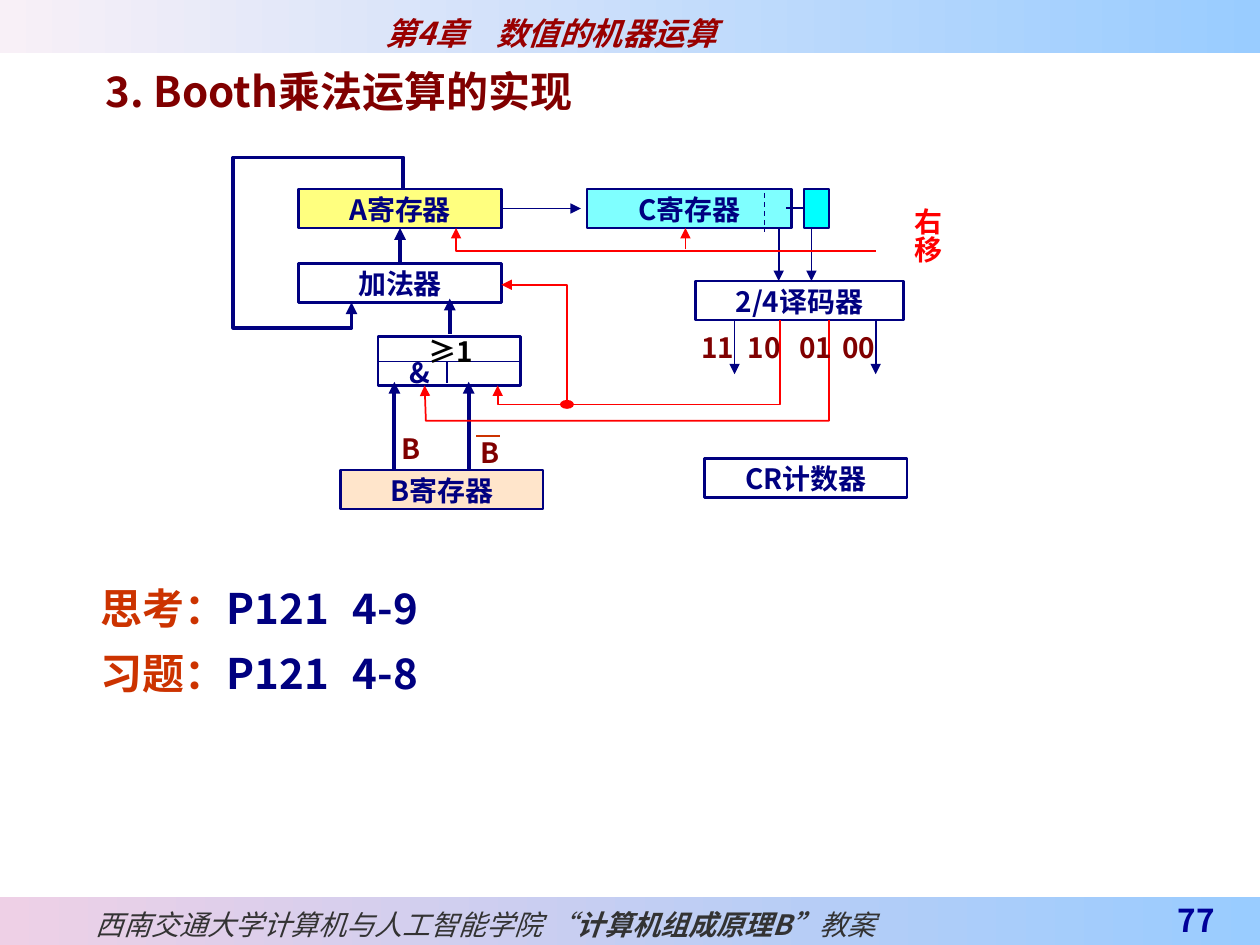
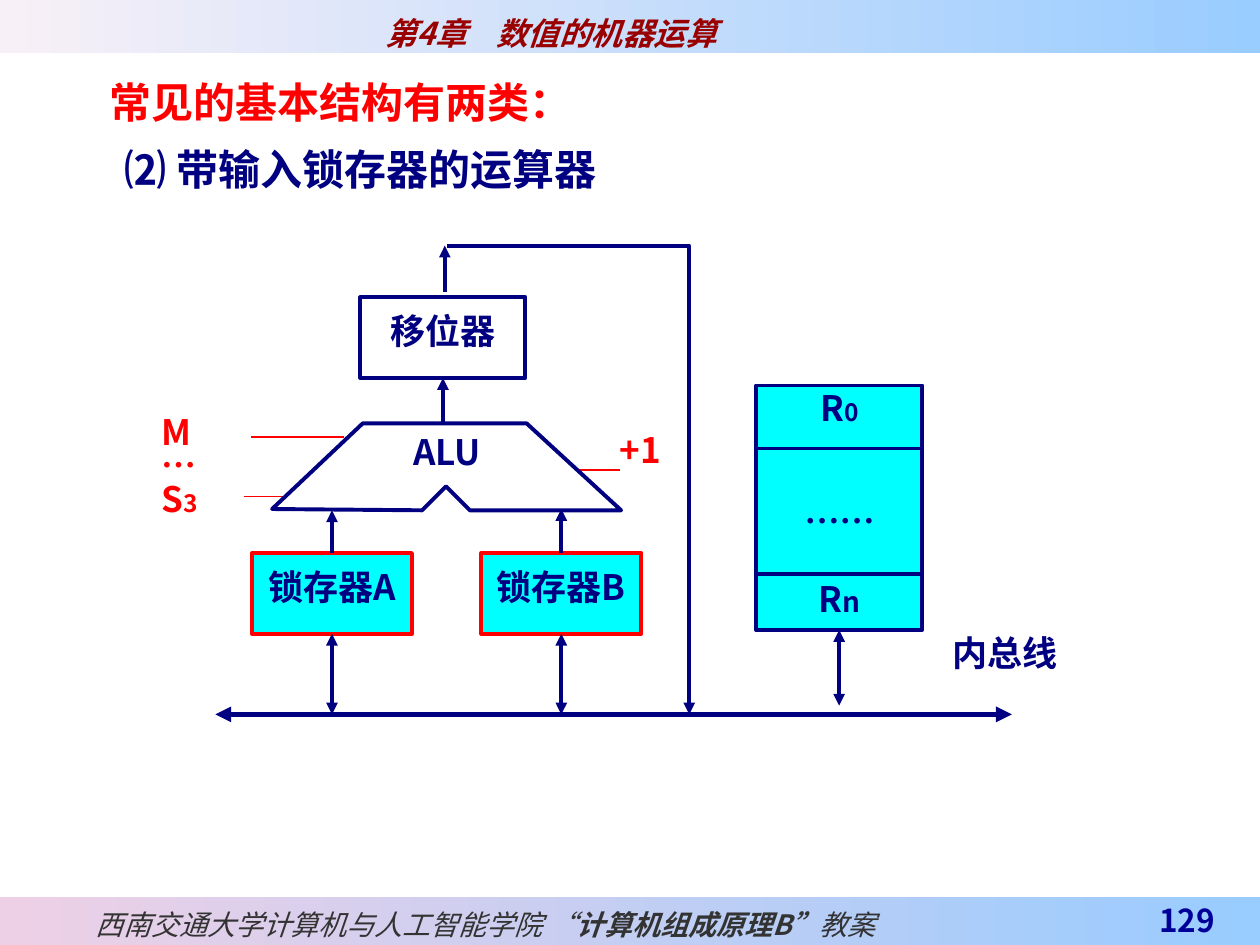
"""Build two lecture slides: the Booth multiplier and an ALU with input latches."""
from dataclasses import dataclass, replace

import pptx
import pptx.dml.color
import pptx.enum.dml
import pptx.enum.shapes
import pptx.enum.text
import pptx.oxml
import pptx.oxml.ns
import pptx.util

ALIGN = pptx.enum.text.PP_ALIGN
ANCHOR = pptx.enum.text.MSO_ANCHOR
SHAPES = pptx.enum.shapes.MSO_SHAPE
WIDTH, HEIGHT = pptx.util.Inches(10), pptx.util.Inches(7.5)
CELL = WIDTH // 100
TOP, LEFT, BOTTOM, RIGHT = range(4)


@dataclass(frozen=True)
class Theme:
    """Colours, fonts and type sizes of the deck."""
    font: str = "Noto Sans CJK SC"
    serif: str = "Times New Roman"
    sans: str = "Arial"
    navy: str = "000080"
    maroon: str = "800000"
    red: str = "FF0000"
    rust: str = "CC3300"
    cyan: str = "00FFFF"
    yellow: str = "FFFF00"
    peach: str = "FFCC99"
    white: str = "FFFFFF"
    black: str = "000000"
    chapter: str = "990000"
    footer: str = "333333"
    number: str = "000099"
    sky: str = "99CCFF"
    header_start: str = "F8F0F7"
    footer_start: str = "EED0E6"
    heading: int = 24
    label: int = 20
    band: int = 18
    small: int = 16
    tiny: int = 14


THEME = Theme()


@dataclass(frozen=True)
class Look:
    """Character format of one run."""
    size: int
    color: str
    bold: bool = True
    italic: bool = False
    font: str = THEME.font


BOOTH = Look(THEME.small, THEME.navy)
CODE = Look(THEME.small, THEME.maroon)
BUS = Look(THEME.label, THEME.navy)
SIGNAL = Look(THEME.label, THEME.red)


def grid(*cells):
    """Turn grid cells into lengths."""
    return [pptx.util.Emu(round(cell * CELL)) for cell in cells]


def rgb(color):
    """Turn a hex string into a colour."""
    return pptx.dml.color.RGBColor.from_string(color)


def xml(tag, **attributes):
    """Make one drawing element."""
    element = pptx.oxml.parse_xml(f"<a:{tag} {pptx.oxml.ns.nsdecls('a')}/>")
    for name, value in attributes.items():
        element.set(name, str(value))
    return element


def add_run(paragraph, text, look):
    """Append one formatted run."""
    run = paragraph.add_run()
    run.text = text
    font = run.font
    font.size, font.bold, font.italic = pptx.util.Pt(look.size), look.bold, look.italic
    font.color.rgb = rgb(look.color)
    font.name = look.font
    run.font._element.append(xml("ea", typeface=THEME.font))


def write(shape, paragraphs, align=ALIGN.LEFT, spacing=1.0, anchor=ANCHOR.TOP,
          insets=(0, 0, 0, 0), tab=None, plain=False):
    """Fill a shape with paragraphs, each a list of (text, look) runs."""
    frame = shape.text_frame
    frame.word_wrap = True
    frame.auto_size = pptx.enum.text.MSO_AUTO_SIZE.NONE
    frame.vertical_anchor = anchor
    (frame.margin_left, frame.margin_top,
     frame.margin_right, frame.margin_bottom) = grid(*insets)
    for index, runs in enumerate(paragraphs):
        paragraph = frame.add_paragraph() if index else frame.paragraphs[0]
        paragraph.alignment, paragraph.line_spacing = align, spacing
        paragraph.space_before = pptx.util.Pt(0)
        properties = paragraph._p.get_or_add_pPr()
        if plain:
            properties.set("marL", "0")
            properties.set("indent", "0")
            properties.append(xml("buNone"))
        if tab:
            stops = xml("tabLst")
            stops.append(xml("tab", pos=grid(tab)[0], algn="l"))
            properties.append(stops)
        for text, look in runs:
            add_run(paragraph, text, look)


def place(shape, at):
    """Move a shape to a grid rectangle."""
    shape.left, shape.top, shape.width, shape.height = grid(*at)


def fill_placeholder(slide, index, at, paragraphs, insets=(1, 0.5, 1, 0.5), **options):
    """Move a template placeholder and write in it."""
    placeholder = slide.placeholders[index]
    place(placeholder, at)
    write(placeholder, paragraphs, insets=insets, plain=True, **options)


def add_label(slide, at, runs, align=ALIGN.CENTER, spacing=1.1, **options):
    """Add one line of free text."""
    label = slide.shapes.add_textbox(*grid(*at))
    write(label, [runs], align, spacing, **options)
    return label


def stroke(shape, color, width, head=False, tail=False):
    """Format an outline and its arrowheads."""
    shape.line.color.rgb = rgb(color)
    shape.line.width = pptx.util.Pt(width)
    outline = shape.line._get_or_add_ln()
    for tag, wanted in (("headEnd", head), ("tailEnd", tail)):
        if wanted:
            outline.append(xml(tag, type="triangle"))


def add_box(slide, at, fill=None, border=THEME.navy, width=1.5, runs=None,
            spacing=1.1, alpha=None, kind=SHAPES.RECTANGLE):
    """Add a bordered block with an optional label."""
    box = slide.shapes.add_shape(kind, *grid(*at))
    box.shadow.inherit = False
    if fill:
        box.fill.solid()
        box.fill.fore_color.rgb = rgb(fill)
    else:
        box.fill.background()
    if alpha:
        color = next(box.element.spPr.iter(pptx.oxml.ns.qn("a:srgbClr")))
        color.append(xml("alpha", val=alpha * 1000))
    stroke(box, border, width)
    if runs:
        write(box, [runs], ALIGN.CENTER, spacing)
    return box


def add_line(slide, start, end, color=THEME.navy, width=1.0, head=False, tail=False,
             dashed=False, begin=None, finish=None):
    """Add a straight connector, joined to (shape, side) where given."""
    line = slide.shapes.add_connector(
        pptx.enum.shapes.MSO_CONNECTOR.STRAIGHT, *grid(*start, *end))
    if begin:
        line.begin_connect(*begin)
    if finish:
        line.end_connect(*finish)
    if dashed:
        line.line.dash_style = pptx.enum.dml.MSO_LINE.DASH
    stroke(line, color, width, head, tail)
    line.element.spPr.append(xml("effectLst"))


def add_path(slide, points, color=THEME.navy, width=1.0, head=False, tail=False,
             closed=False):
    """Add an unfilled outline through grid points."""
    corners = [grid(*point) for point in points]
    builder = slide.shapes.build_freeform(*corners[0])
    builder.add_line_segments(corners[1:], close=closed)
    path = builder.convert_to_shape()
    path.shadow.inherit = False
    path.fill.background()
    stroke(path, color, width, head, tail)


def add_band(slide, top, height, start_color, runs, **options):
    """Add a full-width gradient band with text."""
    band = slide.shapes.add_shape(SHAPES.RECTANGLE, *grid(0, top, 100, height))
    band.shadow.inherit = False
    band.line.fill.background()
    band.fill.gradient()
    band.fill.gradient_angle = 0
    for stop, color in zip(band.fill.gradient_stops, (start_color, THEME.sky)):
        stop.color.rgb = rgb(color)
    write(band, [runs], spacing=1.2, **options)


def add_frame(presentation, number):
    """Add a slide with the header band, footer band and page number."""
    slide = presentation.slides.add_slide(presentation.slide_layouts[1])
    chapter = Look(THEME.band, THEME.chapter, italic=True)
    add_band(slide, 0, 4.2, THEME.header_start, [("第4章\t数值的机器运算", chapter)],
             insets=(30.6, 0.5, 0, 0), tab=8.8)
    light = Look(THEME.small, THEME.footer, bold=False, italic=True)
    strong = replace(light, bold=True)
    add_band(slide, 71.2, 3.8, THEME.footer_start, [
        ("西南交通大学计算机与人工智能学院 ", light),
        ("“", replace(light, font=THEME.sans)),
        ("计算机组成", replace(strong, font=THEME.serif)),
        ("原理B”", strong), ("教案", light)],
        anchor=ANCHOR.MIDDLE, insets=(7.6, 0, 0, 0))
    add_label(slide, (86.6, 71.2, 10.8, 3.8), [(number, Look(THEME.band, THEME.number))],
              ALIGN.RIGHT, 1.2, anchor=ANCHOR.BOTTOM, insets=(1, 0, 1, 0.5))
    return slide


def add_booth_blocks(slide):
    """Draw registers, adder, decoder and selector of the multiplier."""
    def block(left, top, name, width=16.1, **options):
        return add_box(slide, (left, top, width, 3.1), runs=[(name, BOOTH)], **options)

    register_a = block(23.7, 15, "A寄存器", fill=THEME.yellow, alpha=50)
    block(46.6, 15, "C寄存器", 16.2, fill=THEME.cyan, alpha=50)
    block(27, 37.3, "B寄存器", fill=THEME.peach, alpha=50)
    adder = block(23.7, 20.9, "加法器")
    block(55.9, 36.4, "CR计数器")
    block(55.2, 22.3, "2/4译码器", 16.5)
    add_box(slide, (63.8, 15, 2, 3.1), THEME.cyan)
    add_line(slide, (31.75, 20.9), (31.75, 18.1), width=2.25, tail=True,
             begin=(adder, TOP), finish=(register_a, BOTTOM))
    add_line(slide, (39.8, 16.55), (46.1, 16.55), tail=True, begin=(register_a, RIGHT))
    add_box(slide, (30, 26.7, 11.3, 3.9), THEME.white)
    add_line(slide, (30, 28.7), (41.2, 28.7))
    add_line(slide, (35.5, 28.7), (35.5, 30.4))
    add_label(slide, (31.3, 26.3, 8.9, 2.9), [("≥1", Look(THEME.small, THEME.black))])
    add_label(slide, (28.7, 27.5, 9.2, 4.4), [("&", BOOTH)], insets=(1, 0.5, 1, 0.5))


def add_booth_wires(slide):
    """Draw the data and control wires of the multiplier."""
    red = THEME.red
    add_path(slide, [(32, 15), (32, 12.5), (18.5, 12.5), (18.5, 26), (27.9, 26),
                     (27.9, 24)], width=2.25, tail=True)
    add_line(slide, (35.7, 26.5), (35.7, 23.7), width=2.25, tail=True)
    for x in (31.3, 37.2):
        add_line(slide, (x, 37.3), (x, 30.3), width=2.25, tail=True)
    for x in (61.8, 64.4):
        add_line(slide, (x, 18), (x, 22.3), tail=True)
    for x in (58.3, 69.5):
        add_line(slide, (x, 25.4), (x, 29.7), tail=True)
    add_line(slide, (60.7, 15.3), (60.7, 18.4), width=0.75, dashed=True)
    add_line(slide, (62.4, 16.5), (63.9, 16.5), width=0.75)
    add_path(slide, [(36.2, 18.1), (36.2, 19.9), (69.5, 19.9)], red, head=True)
    add_line(slide, (54.4, 19.8), (54.4, 18.1), red, tail=True)
    for points in ([(61.9, 25.4), (61.9, 32.1), (39.5, 32.1), (39.5, 30.6)],
                   [(65.8, 25.4), (65.8, 33.4), (33.8, 33.4), (33.7, 30.6)],
                   [(45, 32.1), (45, 22.6), (39.8, 22.6)]):
        add_path(slide, points, red, tail=True)
    add_box(slide, (44.5, 31.8, 1, 0.6), red, red, 0.75, kind=SHAPES.OVAL)


def add_booth_slide(presentation):
    """Build the Booth multiplier slide."""
    slide = add_frame(presentation, "77")
    fill_placeholder(slide, 0, (7.4, 4.7, 92.6, 4.5),
                     [[("3. Booth乘法运算的实现", Look(THEME.heading, THEME.maroon))]],
                     insets=(1, 0.5, 1, 0))
    topic, page = Look(THEME.heading, THEME.rust), Look(THEME.heading, THEME.navy)
    fill_placeholder(slide, 1, (7, 44.5, 93, 10.8),
                     [[("思考：", topic), ("P121\t4-9", page)],
                      [("习题：", topic), ("P121\t4-8", page)]], spacing=1.3, tab=20.4)
    add_booth_blocks(slide)
    add_booth_wires(slide)
    for left, code in ((54.6, "11"), (58.3, "10"), (62.4, "01"), (65.8, "00")):
        add_label(slide, (left, 26, 4.7, 3.1), [(code, CODE)])
    add_label(slide, (30.3, 34, 4.6, 3.1), [("B", CODE)])
    add_label(slide, (36.6, 34.3, 4.6, 3.1), [("B", CODE)])
    add_line(slide, (37.8, 34.6), (39.7, 34.6), THEME.rust)
    shift = add_label(slide, (70.5, 16.5, 4.7, 5.9), [("右移", Look(THEME.small, THEME.red))])
    shift.element.txBody.bodyPr.set("vert", "eaVert")


def add_alu_slide(presentation):
    """Build the slide of the ALU with input latches."""
    slide = add_frame(presentation, "129")
    fill_placeholder(slide, 0, (7.7, 5.6, 92.3, 5),
                     [[("常见的基本结构有两类：", Look(THEME.heading, THEME.red))]])
    fill_placeholder(slide, 1, (8.9, 10.9, 91.1, 5),
                     [[("⑵ 带输入锁存器的运算器", Look(THEME.heading, THEME.navy))]])
    for left, right, y in ((19.9, 27.3, 34.7), (19.4, 22.8, 39.4), (45.8, 49.2, 37.3)):
        add_line(slide, (left, y), (right, y), THEME.red)
    add_label(slide, (49.2, 33, 10.1, 4.9), [("+1", SIGNAL)], ALIGN.LEFT, 1.3)
    controls = slide.shapes.add_textbox(*grid(12.8, 33.2, 7.6, 6.5))
    write(controls, [[("M", SIGNAL)], [("…", SIGNAL)],
                     [("S", SIGNAL), ("3", replace(SIGNAL, size=THEME.tiny))]], spacing=0.8)

    wire = {"width": 2.25, "tail": True}
    for left, name, alu_y in ((20, "锁存器A", 40.5), (38.2, "锁存器B", 40.4)):
        latch = add_box(slide, (left, 43.9, 12.7, 6.4), THEME.cyan, THEME.red, 2.25,
                        [(name, BUS)], 1.3)
        middle = left + 6.35
        add_line(slide, (middle, 43.9), (middle, alu_y), begin=(latch, TOP), **wire)
        add_line(slide, (middle, 56.7), (middle, 50.3), head=True,
                 finish=(latch, BOTTOM), **wire)
    add_path(slide, [(21.6, 40.4), (28.8, 33.6), (41.8, 33.6), (49.3, 40.5), (37.3, 40.5),
                     (35.4, 38.6), (33.5, 40.5)], width=2.25, closed=True)
    shifter = add_box(slide, (28.6, 23.6, 13.1, 6.4), width=2.25, runs=[("移位器", BUS)],
                      spacing=1.3)
    add_line(slide, (35.15, 33.6), (35.15, 30), finish=(shifter, BOTTOM), **wire)
    add_line(slide, (35.3, 23.2), (35.3, 19.5), **wire)
    add_path(slide, [(35.5, 19.5), (54.7, 19.5), (54.7, 56.7)], **wire)
    add_line(slide, (17.1, 56.7), (80.3, 56.7), width=3, head=True, tail=True)

    registers = add_box(slide, (60, 30.6, 13.2, 19.4), THEME.cyan, width=2.25)
    add_box(slide, (60, 35.6, 13.2, 10), width=2.25)
    add_line(slide, (66.6, 56), (66.6, 50), head=True, finish=(registers, BOTTOM), **wire)
    for at, runs in (
            ((29.6, 33.2, 11.8, 5), [("ALU", BUS)]),
            ((71.9, 49.1, 15.8, 5.5), [("内总线", BUS)]),
            ((60.8, 29.7, 11.7, 5), [("R", BUS), ("0", replace(BUS, size=THEME.tiny))]),
            ((60.8, 44.8, 11.7, 5), [("R", BUS), ("n", replace(BUS, size=THEME.small))]),
            ((60.8, 37.8, 11.7, 5), [("……", replace(BUS, font=THEME.serif))])):
        add_label(slide, at, runs, spacing=1.3)


def main():
    """Build and save the deck."""
    presentation = pptx.Presentation()
    presentation.slide_width, presentation.slide_height = WIDTH, HEIGHT
    add_booth_slide(presentation)
    add_alu_slide(presentation)
    presentation.save("out.pptx")


if __name__ == "__main__":
    main()
